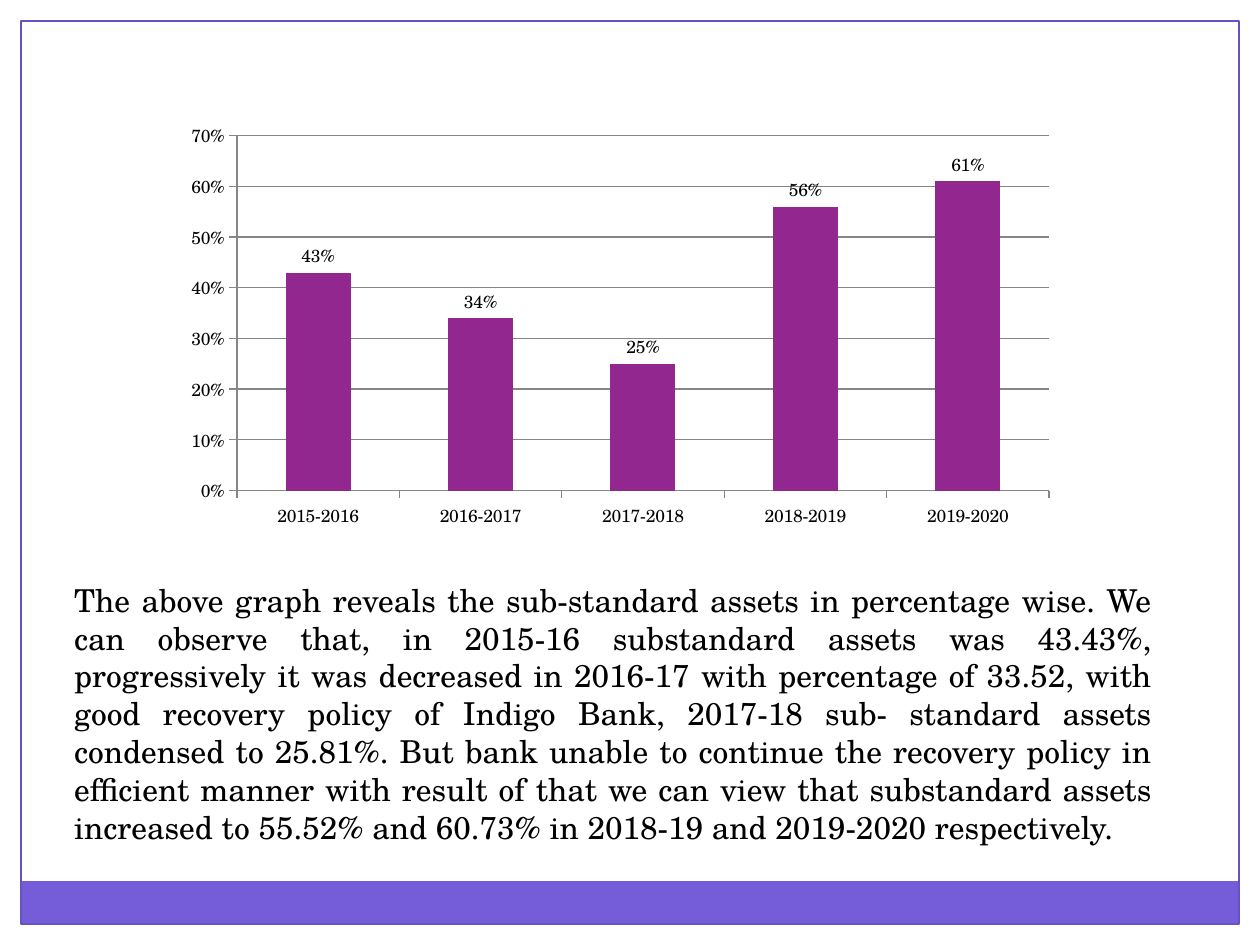
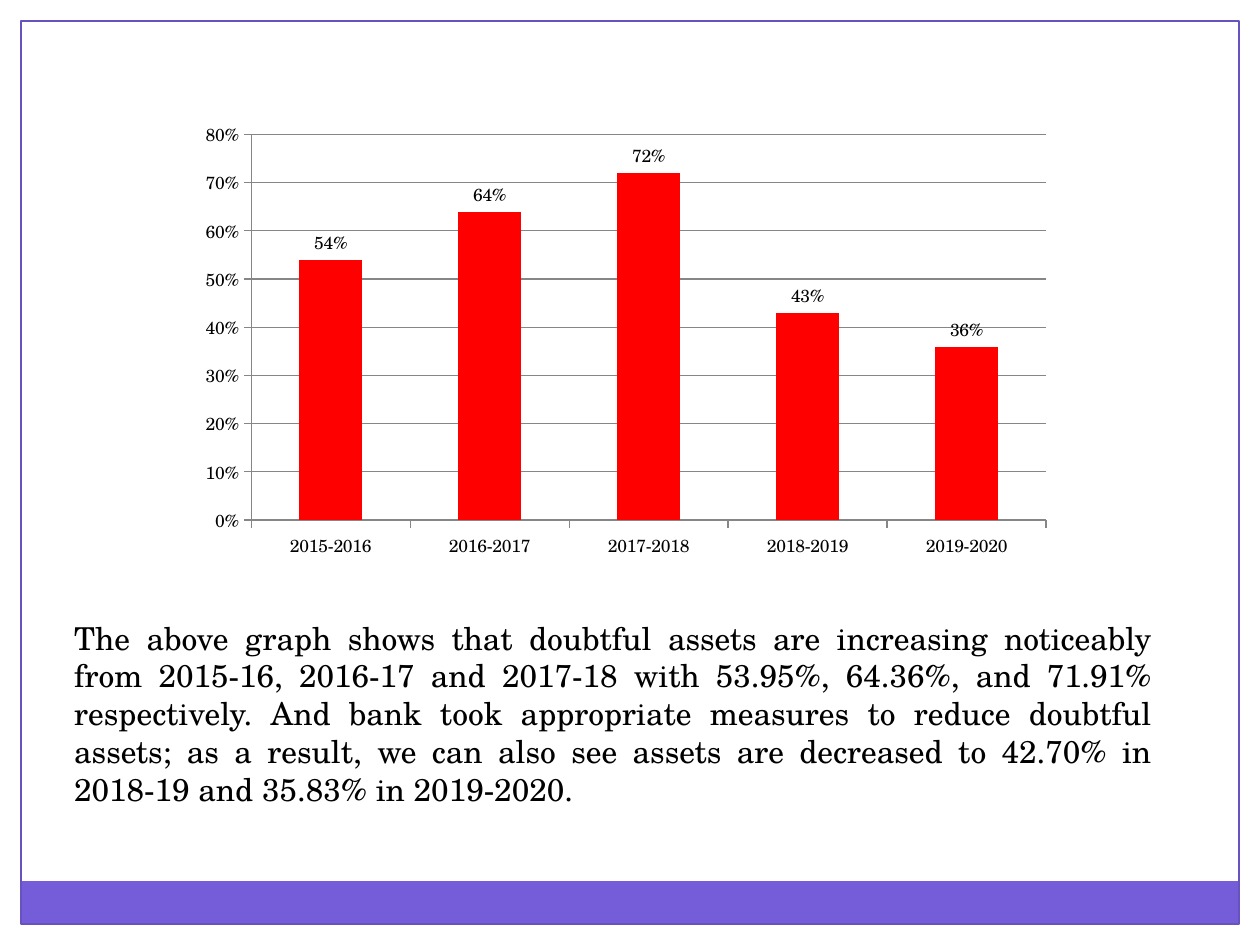
from lxml.etree import SubElement
from pptx import Presentation
from pptx.chart.data import CategoryChartData
from pptx.dml.color import RGBColor
from pptx.enum.chart import XL_CHART_TYPE as ChartType, XL_LABEL_POSITION as LabelPosition
from pptx.enum.chart import XL_TICK_MARK as TickMark
from pptx.enum.shapes import MSO_SHAPE as ShapeKind
from pptx.enum.text import MSO_AUTO_SIZE as AutoSize, PP_ALIGN as Align
from pptx.oxml.ns import qn
from pptx.util import Pt

FONT = "TeX Gyre Schola"
COLORS = {
    "background": "FFFFFF",
    "band": "755DD9",
    "border": "6752BF",
    "text": "000000",
    "axis": "868686",
    "substandard": "92278F",
    "doubtful": "FF0000",
}
WIDTH, HEIGHT, MARGIN = 720, 540, 12
YEARS = [f"{year}-{year + 1}" for year in range(2015, 2020)]

ASSET_SLIDES = [
    {
        "color": "substandard",
        "shares": [0.43, 0.34, 0.25, 0.56, 0.61],
        "axis_maximum": 0.7,
        "chart_box": (66, 48, 564, 276),
        "plot_box": {"x": 0.123, "y": 0.107, "w": 0.823, "h": 0.735},
        "text_box": (35.28, 328.32, 630, 159.84),
        "text": "The above graph reveals the sub-standard assets in percentage wise. "
                "We can observe that, in 2015-16 substandard assets was 43.43%, "
                "progressively it was decreased in 2016-17 with percentage of 33.52, "
                "with good recovery policy of Indigo Bank, 2017-18 sub- standard assets "
                "condensed to 25.81%. But bank unable to continue the recovery policy in "
                "efficient manner with result of that we can view that substandard assets "
                "increased to 55.52% and 60.73% in 2018-19 and 2019-2020 respectively.",
    },
    {
        "color": "doubtful",
        "shares": [0.54, 0.64, 0.72, 0.43, 0.36],
        "axis_maximum": 0.8,
        "chart_box": (74, 42, 552, 300),
        "plot_box": {"x": 0.126, "y": 0.116, "w": 0.823, "h": 0.735},
        "text_box": (35.28, 349.92, 630, 116.64),
        "text": "The above graph shows that doubtful assets are increasing noticeably "
                "from 2015-16, 2016-17 and 2017-18 with 53.95%, 64.36%, and 71.91% "
                "respectively. And bank took appropriate measures to reduce doubtful "
                "assets; as a result, we can also see assets are decreased to 42.70% in "
                "2018-19 and 35.83% in 2019-2020.",
    },
]


def rgb(name):
    return RGBColor.from_string(COLORS[name])


def add_text(slide, text, box, *, size=18, color="text", align=Align.JUSTIFY):
    text_box = slide.shapes.add_textbox(*map(Pt, box))
    frame = text_box.text_frame
    frame.word_wrap = True
    frame.auto_size = AutoSize.SHAPE_TO_FIT_TEXT
    paragraph = frame.paragraphs[0]
    paragraph.alignment = align
    run = paragraph.add_run()
    run.text = text
    run.font.name = FONT
    run.font.size = Pt(size)
    run.font.color.rgb = rgb(color)


presentation = Presentation()
presentation.slide_width, presentation.slide_height = Pt(WIDTH), Pt(HEIGHT)
layout = presentation.slide_layouts[6]
for placeholder in list(layout.placeholders):
    layout.shapes.element.remove(placeholder.element)
slides = [presentation.slides.add_slide(layout) for _ in ASSET_SLIDES]

# The frame is drawn on the first slide, then moved to the layout both slides share
inner_width, inner_height = WIDTH - 2 * MARGIN, HEIGHT - 2 * MARGIN
frame_parts = [
    ((0, 0, WIDTH, MARGIN), "background", None),
    ((WIDTH - MARGIN, 0, MARGIN, HEIGHT), "background", None),
    ((0, 0, MARGIN, HEIGHT), "background", None),
    ((MARGIN, 503.5, inner_width, 24.5), "band", None),
    ((MARGIN, MARGIN, inner_width, inner_height), None, "border"),
]
for box, fill, line in frame_parts:
    shape = slides[0].shapes.add_shape(ShapeKind.RECTANGLE, *map(Pt, box))
    shape.shadow.inherit = False
    if fill:
        shape.fill.solid()
        shape.fill.fore_color.rgb = rgb(fill)
    else:
        shape.fill.background()
    if line:
        shape.line.color.rgb = rgb(line)
        shape.line.width = Pt(0.75)
    else:
        shape.line.fill.background()
    layout.shapes.element.append(shape.element)

for slide, content in zip(slides, ASSET_SLIDES):
    chart_data = CategoryChartData(number_format="0%")
    chart_data.categories = YEARS
    chart_data.add_series("Series 1", content["shares"])
    chart = slide.shapes.add_chart(
        ChartType.COLUMN_CLUSTERED, *map(Pt, content["chart_box"]), chart_data
    ).chart
    chart.has_legend = False
    chart.has_title = False
    chart.font.name = FONT
    chart.font.size = Pt(10)
    chart.font.color.rgb = rgb("text")

    share_axis = chart.value_axis
    share_axis.minimum_scale = 0
    share_axis.maximum_scale = content["axis_maximum"]
    share_axis.major_unit = 0.1
    share_axis.has_major_gridlines = True
    share_axis.tick_labels.number_format = "0%"
    share_axis.tick_labels.number_format_is_linked = False
    for axis in (chart.category_axis, share_axis):
        axis.major_tick_mark = TickMark.OUTSIDE
        axis.minor_tick_mark = TickMark.NONE
    for ruled in (chart.category_axis, share_axis, share_axis.major_gridlines):
        ruled.format.line.color.rgb = rgb("axis")
        ruled.format.line.width = Pt(0.75)

    plot = chart.plots[0]
    plot.gap_width = 150
    plot.vary_by_categories = False
    columns = plot.series[0]
    columns.format.fill.solid()
    columns.format.fill.fore_color.rgb = rgb(content["color"])
    labels = columns.data_labels
    labels.show_value = True
    labels.number_format = "0%"
    labels.number_format_is_linked = False
    labels.position = LabelPosition.OUTSIDE_END

    plot_area = chart.element.find(qn("c:chart")).find(qn("c:plotArea"))
    for automatic_layout in plot_area.findall(qn("c:layout")):
        plot_area.remove(automatic_layout)
    plot_layout = SubElement(plot_area, qn("c:layout"))
    plot_area.insert(0, plot_layout)
    manual = SubElement(plot_layout, qn("c:manualLayout"))
    settings = {"layoutTarget": "inner", "xMode": "edge", "yMode": "edge", **content["plot_box"]}
    for tag, value in settings.items():
        SubElement(manual, qn(f"c:{tag}")).set("val", str(value))

    add_text(slide, content["text"], content["text_box"])

presentation.save("out.pptx")
